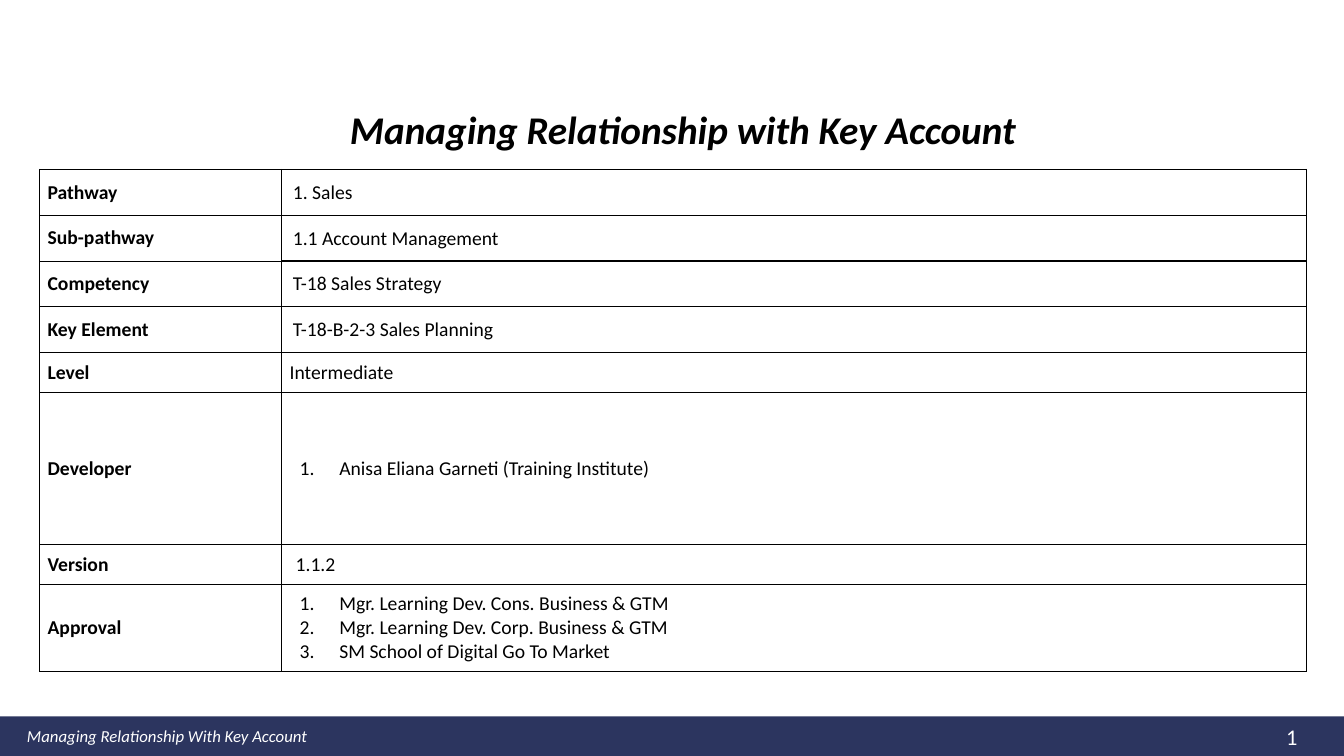
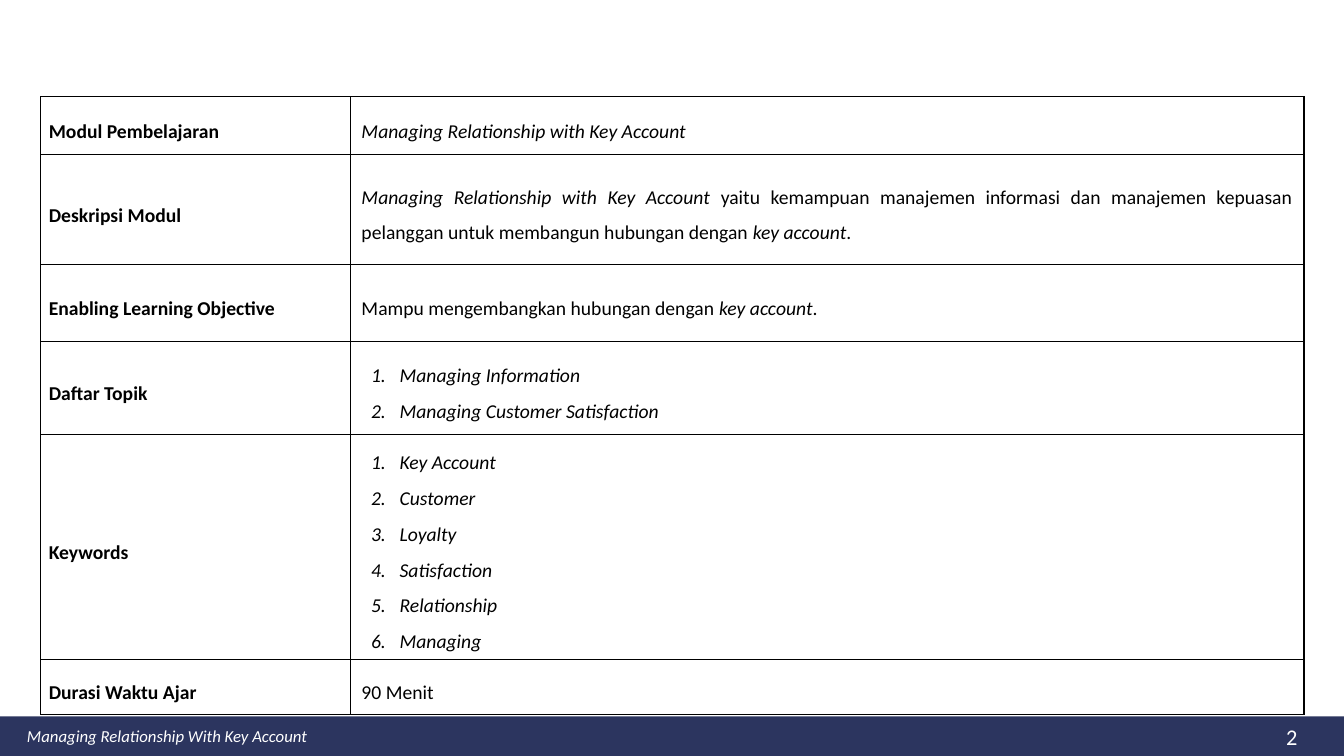
from dataclasses import dataclass

from lxml.etree import SubElement
from pptx import Presentation
from pptx.dml.color import RGBColor
from pptx.enum.shapes import MSO_SHAPE
from pptx.enum.text import MSO_ANCHOR, PP_ALIGN
from pptx.oxml.ns import qn
from pptx.util import Cm, Pt

COLORS = {"ink": "000000", "paper": "FFFFFF", "band": "2C355F"}
FONT = "Calibri"
SLIDE_WIDTH, SLIDE_HEIGHT = 33.87, 19.05
BAND_HEIGHT = 1
BAND_TOP = SLIDE_HEIGHT - BAND_HEIGHT
LABEL_PADDING = (0.2, 0.1)
FOOTER = "Managing Relationship With Key Account"


@dataclass
class Row:
    """One labelled table row; each paragraph is a string or (text, italic) runs."""
    label: str
    paragraphs: list
    height: float
    padding: tuple = (0.28, 0.28)
    border: float = 1
    italic: bool = False
    indent: float = 0
    hanging: float = 0


def color(name):
    return RGBColor.from_string(COLORS[name])


# Text
def number_paragraph(paragraph):
    properties = paragraph._p.get_or_add_pPr()
    bullet_color = SubElement(properties, qn("a:buClr"))
    SubElement(bullet_color, qn("a:srgbClr"), val=COLORS["ink"])
    SubElement(properties, qn("a:buAutoNum"), type="arabicPeriod")


def write_text(frame, paragraphs, size=14, ink="ink", bold=False, italic=False,
               align=PP_ALIGN.LEFT, spacing=1, indent=0, hanging=0):
    frame.word_wrap = True
    for index, content in enumerate(paragraphs):
        paragraph = frame.add_paragraph() if index else frame.paragraphs[0]
        properties = paragraph._p.get_or_add_pPr()
        properties.set("marL", str(Cm(indent)))
        properties.set("indent", str(-Cm(hanging)))
        if hanging:
            number_paragraph(paragraph)
        paragraph.alignment = align
        paragraph.line_spacing = spacing
        runs = [(content, italic)] if isinstance(content, str) else content
        for text, run_italic in runs:
            run = paragraph.add_run()
            run.text = text
            font = run.font
            font.name, font.size = FONT, Pt(size)
            font.bold, font.italic = bold, run_italic
            font.color.rgb = color(ink)


def add_text(slide, text, left, top, width, height, **text_format):
    shape = slide.shapes.add_textbox(Cm(left), Cm(top), Cm(width), Cm(height))
    shape.text_frame.vertical_anchor = MSO_ANCHOR.MIDDLE
    write_text(shape.text_frame, [text], **text_format)
    return shape


# Shared footer
def add_slide_number(slide, number):
    shape = add_text(slide, str(number), 31.78, BAND_TOP, 1.55, BAND_HEIGHT,
                     size=16, ink="paper", align=PP_ALIGN.CENTER)
    run = shape.text_frame.paragraphs[0].runs[0]._r
    field = SubElement(run.getparent(), qn("a:fld"), type="slidenum",
                       id="{B6F15528-21DE-4FAA-801E-634DDDAF4B2B}")
    field.extend(list(run))
    run.getparent().remove(run)


def add_footer(slide, number):
    band = slide.shapes.add_shape(MSO_SHAPE.RECTANGLE, 0, Cm(BAND_TOP),
                                  Cm(SLIDE_WIDTH), Cm(BAND_HEIGHT))
    band.shadow.inherit = False
    band.fill.solid()
    band.fill.fore_color.rgb = color("band")
    band.line.fill.background()
    add_text(slide, FOOTER, 0.43, BAND_TOP, 16.5, BAND_HEIGHT,
             size=12, ink="paper", italic=True)
    add_slide_number(slide, number)


# Table
def style_cell(cell, padding, border):
    horizontal, vertical = padding
    cell.margin_left = cell.margin_right = Cm(horizontal)
    cell.margin_top = cell.margin_bottom = Cm(vertical)
    cell.vertical_anchor = MSO_ANCHOR.MIDDLE
    properties = cell._tc.get_or_add_tcPr()
    for side in ("L", "R", "T", "B"):
        line = SubElement(properties, qn(f"a:ln{side}"), w=str(Pt(border)))
        fill = SubElement(line, qn("a:solidFill"))
        SubElement(fill, qn("a:srgbClr"), val=COLORS["ink"])
    cell.fill.solid()
    cell.fill.fore_color.rgb = color("paper")


def add_detail_table(slide, rows, left, top, widths, **text_format):
    height = sum(row.height for row in rows)
    table = slide.shapes.add_table(len(rows), len(widths), Cm(left), Cm(top),
                                   Cm(sum(widths)), Cm(height)).table
    table.first_row = table.horz_banding = False
    for column, width in zip(table.columns, widths):
        column.width = Cm(width)
    for index, row in enumerate(rows):
        table.rows[index].height = Cm(row.height)
        label, value = table.cell(index, 0), table.cell(index, 1)
        style_cell(label, LABEL_PADDING, 0.8)
        style_cell(value, row.padding, row.border)
        write_text(label.text_frame, [row.label], bold=True, **text_format)
        write_text(value.text_frame, row.paragraphs, italic=row.italic,
                   indent=row.indent, hanging=row.hanging, **text_format)


# Slides
def add_slide(presentation):
    slide = presentation.slides.add_slide(presentation.slide_layouts[6])
    add_footer(slide, len(presentation.slides))
    return slide


def add_overview_slide(presentation):
    slide = add_slide(presentation)
    add_text(slide, "Managing Relationship with Key Account", 2.31, 2.36, 29.8, 1.9,
             size=28, bold=True, italic=True, align=PP_ALIGN.CENTER, spacing=0.9)
    compact = {"padding": (0.2, 0.2), "border": 0.8}
    numbered = {"indent": 1.25, "hanging": 1}
    rows = [
        Row("Pathway", ["1. Sales"], 1.15),
        Row("Sub-pathway", ["1.1 Account Management"], 1.15),
        Row("Competency", ["T-18 Sales Strategy"], 1.15),
        Row("Key Element", ["T-18-B-2-3 Sales Planning"], 1.15),
        Row("Level", ["Intermediate"], 1, **compact),
        Row("Developer", ["Anisa Eliana Garneti (Training Institute)"], 3.84,
            **compact, **numbered),
        Row("Version", ["1.1.2"], 1, indent=0.15, **compact),
        Row("Approval", ["Mgr. Learning Dev. Cons. Business & GTM",
                         "Mgr. Learning Dev. Corp. Business & GTM",
                         "SM School of Digital Go To Market"], 2.2,
            **compact, **numbered),
    ]
    add_detail_table(slide, rows, 1, 4.27, (6.1, 25.83))


def add_module_slide(presentation):
    slide = add_slide(presentation)
    low = (0.28, 0.13)
    numbered = {"italic": True, "indent": 0.96, "hanging": 0.72}
    description = [
        ("Managing Relationship with Key Account ", True),
        ("yaitu kemampuan manajemen informasi dan manajemen kepuasan pelanggan "
         "untuk membangun hubungan dengan ", False),
        ("key account", True), (".", False)]
    objective = [("Mampu mengembangkan hubungan dengan ", False),
                 ("key account", True), (".", False)]
    rows = [
        Row("Modul Pembelajaran", ["Managing Relationship with Key Account"], 1.44,
            italic=True),
        Row("Deskripsi Modul", [description], 2.77),
        Row("Enabling Learning Objective", [objective], 1.94),
        Row("Daftar Topik", ["Managing Information", "Managing Customer Satisfaction"],
            2.34, **numbered),
        Row("Keywords", ["Key Account", "Customer", "Loyalty", "Satisfaction",
                         "Relationship", "Managing"], 5.67, padding=low, **numbered),
        Row("Durasi Waktu Ajar", ["90 Menit"], 1.4, padding=low),
    ]
    add_detail_table(slide, rows, 1.03, 2.44, (7.8, 24.03),
                     align=PP_ALIGN.JUSTIFY, spacing=1.5)


def main():
    presentation = Presentation()
    presentation.slide_width = Cm(SLIDE_WIDTH)
    presentation.slide_height = Cm(SLIDE_HEIGHT)
    add_overview_slide(presentation)
    add_module_slide(presentation)
    presentation.save("out.pptx")


if __name__ == "__main__":
    main()
